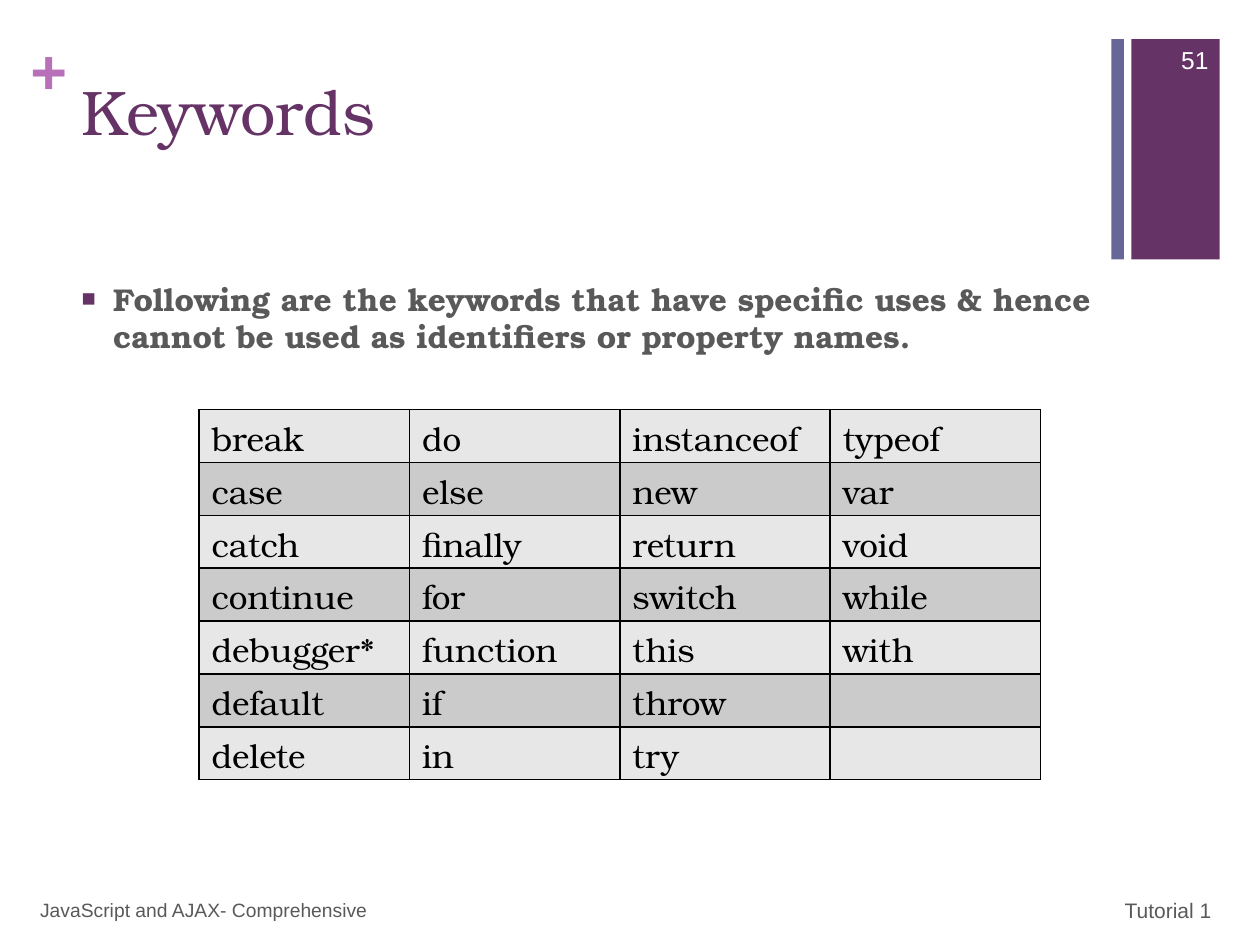
"""Build the slide that lists the JavaScript keywords."""
from dataclasses import dataclass
from typing import Any

from lxml.etree import SubElement
from pptx import Presentation
from pptx.dml.color import RGBColor
from pptx.enum.shapes import MSO_SHAPE
from pptx.enum.text import MSO_ANCHOR, PP_ALIGN
from pptx.oxml.ns import qn
from pptx.util import Inches, Pt

SERIF, SANS = "TeX Gyre Bonum", "Arial"
PURPLE, BLUE, ORCHID = "663366", "666699", "B870B8"
GREY, BLACK, WHITE = "595959", "000000", "FFFFFF"
BANDS = ("E7E7E7", "CBCBCB")
COLUMN_WIDTH, ROW_HEIGHT = 1.67, 0.42
KEYWORDS = (
    ("break", "do", "instanceof", "typeof"),
    ("case", "else", "new", "var"),
    ("catch", "finally", "return", "void"),
    ("continue", "for", "switch", "while"),
    ("debugger*", "function", "this", "with"),
    ("default", "if", "throw", ""),
    ("delete", "in", "try", ""),
)


@dataclass(frozen=True)
class Bar:
    left: float
    width: float
    color: str


@dataclass(frozen=True)
class Label:
    text: str
    box: tuple[float, float, float, float]
    size: float
    color: str = GREY
    font: str = SANS
    bold: bool = False
    align: PP_ALIGN = PP_ALIGN.LEFT
    anchor: MSO_ANCHOR = MSO_ANCHOR.MIDDLE
    inset: tuple[float, float] = (0.1, 0.05)
    bulleted: bool = False


BARS = (Bar(8.98, 0.7, PURPLE), Bar(8.82, 0.1, BLUE))
LABELS = (
    Label("+", (0.24, 0.25, 0.28, 0.61), 36, ORCHID, bold=True,
          anchor=MSO_ANCHOR.TOP, inset=(0, 0)),
    Label("Keywords", (0.55, 0.53, 8.26, 1.22), 36, PURPLE, SERIF,
          anchor=MSO_ANCHOR.TOP),
    Label("Following are the keywords that have specific uses & hence "
          "cannot be used as identifiers or property names.",
          (0.55, 2.17, 8.26, 4.53), 18, font=SERIF, bold=True,
          anchor=MSO_ANCHOR.TOP, bulleted=True),
    Label("Tutorial 1 ", (7.43, 7.02, 2.33, 0.4), 12, align=PP_ALIGN.RIGHT),
    Label("JavaScript and AJAX- Comprehensive", (0.22, 7.02, 6.7, 0.4), 11),
    Label("51", (9.08, 0.27, 0.61, 0.4), 14, WHITE, align=PP_ALIGN.RIGHT),
)


def rgb(color: str) -> RGBColor:
    return RGBColor.from_string(color)


def apply(target: Any, values: dict[str, Any]) -> None:
    for attribute, value in values.items():
        setattr(target, attribute, value)


def style_font(font: Any, name: str, size: float, color: str, bold: bool = False) -> None:
    apply(font, {"name": name, "size": Pt(size), "bold": bold})
    font.color.rgb = rgb(color)


def add_bar(slide: Any, bar: Bar) -> None:
    block = slide.shapes.add_shape(
        MSO_SHAPE.RECTANGLE, Inches(bar.left), Inches(0.31), Inches(bar.width), Inches(1.75))
    block.shadow.inherit = False
    block.fill.solid()
    block.fill.fore_color.rgb = rgb(bar.color)
    block.line.fill.background()


def add_bullet(paragraph: Any) -> None:
    paragraph.space_before = Pt(20)
    properties = paragraph._p.get_or_add_pPr()
    properties.set("marL", str(Inches(0.25)))
    properties.set("indent", str(-Inches(0.25)))
    bullet_color = SubElement(properties, qn("a:buClr"))
    SubElement(bullet_color, qn("a:srgbClr"), val=PURPLE)
    SubElement(properties, qn("a:buSzPct"), val="75000")
    SubElement(properties, qn("a:buFont"), typeface=SANS)
    SubElement(properties, qn("a:buChar"), char="■")


def add_label(slide: Any, label: Label) -> None:
    frame = slide.shapes.add_textbox(*map(Inches, label.box)).text_frame
    across, down = map(Inches, label.inset)
    apply(frame, {"word_wrap": True, "vertical_anchor": label.anchor,
                  "margin_left": across, "margin_right": across,
                  "margin_top": down, "margin_bottom": down})
    paragraph = frame.paragraphs[0]
    paragraph.alignment = label.align
    if label.bulleted:
        add_bullet(paragraph)
    run = paragraph.add_run()
    run.text = label.text
    style_font(run.font, label.font, label.size, label.color, label.bold)


def add_borders(cell: Any) -> None:
    properties = cell._tc.get_or_add_tcPr()
    for position, side in enumerate(("lnL", "lnR", "lnT", "lnB")):
        border = SubElement(properties, qn(f"a:{side}"), w=str(Pt(1)))
        properties.insert(position, border)
        solid = SubElement(border, qn("a:solidFill"))
        SubElement(solid, qn("a:srgbClr"), val=BLACK)


def add_keyword_table(slide: Any) -> None:
    row_count, column_count = len(KEYWORDS), len(KEYWORDS[0])
    table = slide.shapes.add_table(
        row_count, column_count, Inches(1.58), Inches(3.25),
        Inches(COLUMN_WIDTH * column_count), Inches(ROW_HEIGHT * row_count)).table
    for column in table.columns:
        column.width = Inches(COLUMN_WIDTH)
    for index, (row, words) in enumerate(zip(table.rows, KEYWORDS)):
        row.height = Inches(ROW_HEIGHT)
        for cell, word in zip(row.cells, words):
            cell.fill.solid()
            cell.fill.fore_color.rgb = rgb(BANDS[index % 2])
            cell.text = word
            style_font(cell.text_frame.paragraphs[0].font, SERIF, 19, BLACK)
            for run in cell.text_frame.paragraphs[0].runs:
                style_font(run.font, SERIF, 19, BLACK)
            add_borders(cell)


def main() -> None:
    presentation = Presentation()
    apply(presentation, {"slide_width": Inches(10), "slide_height": Inches(7.5)})
    slide = presentation.slides.add_slide(presentation.slide_layouts[6])
    for bar in BARS:
        add_bar(slide, bar)
    for label in LABELS:
        add_label(slide, label)
    add_keyword_table(slide)
    presentation.save("out.pptx")


if __name__ == "__main__":
    main()
